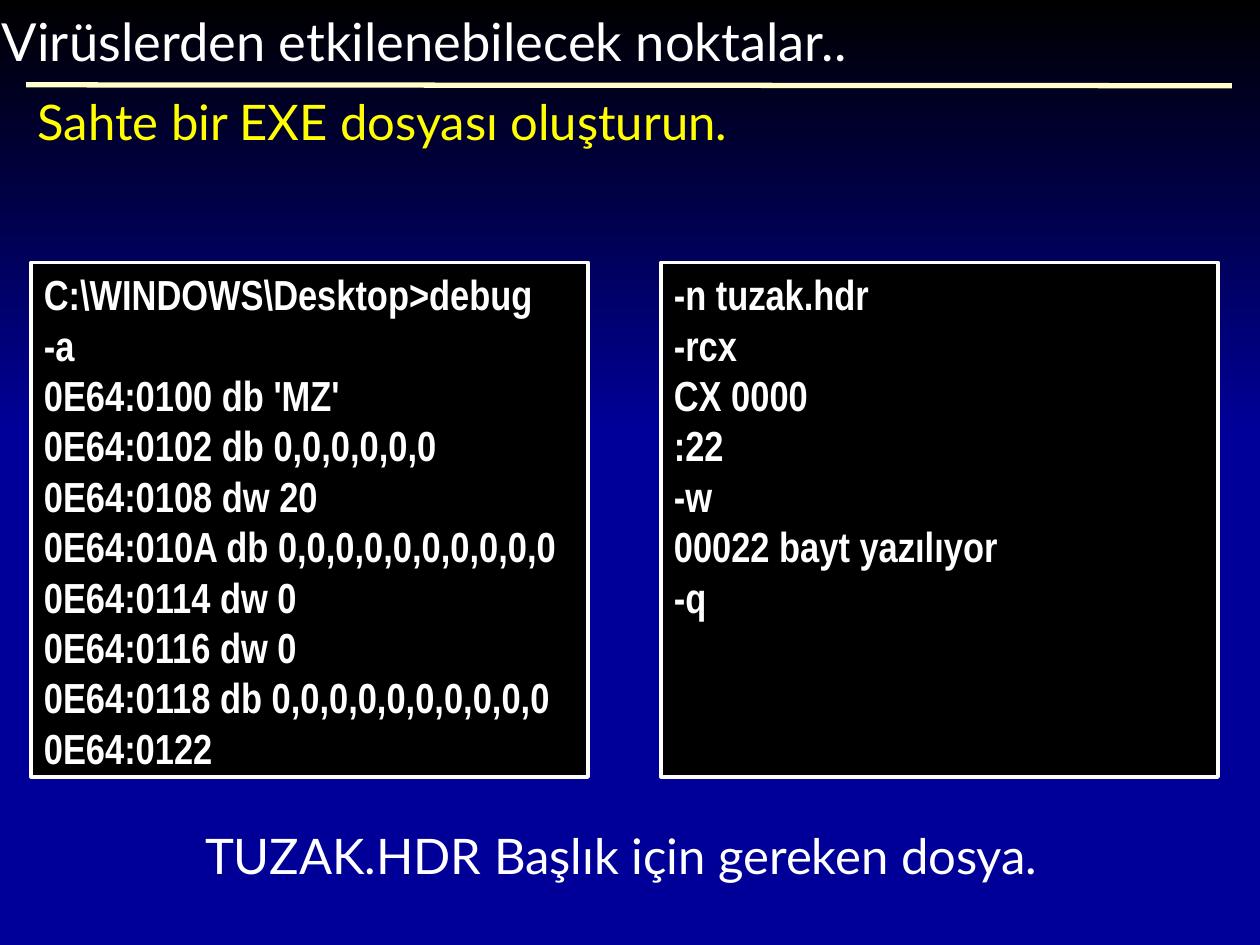
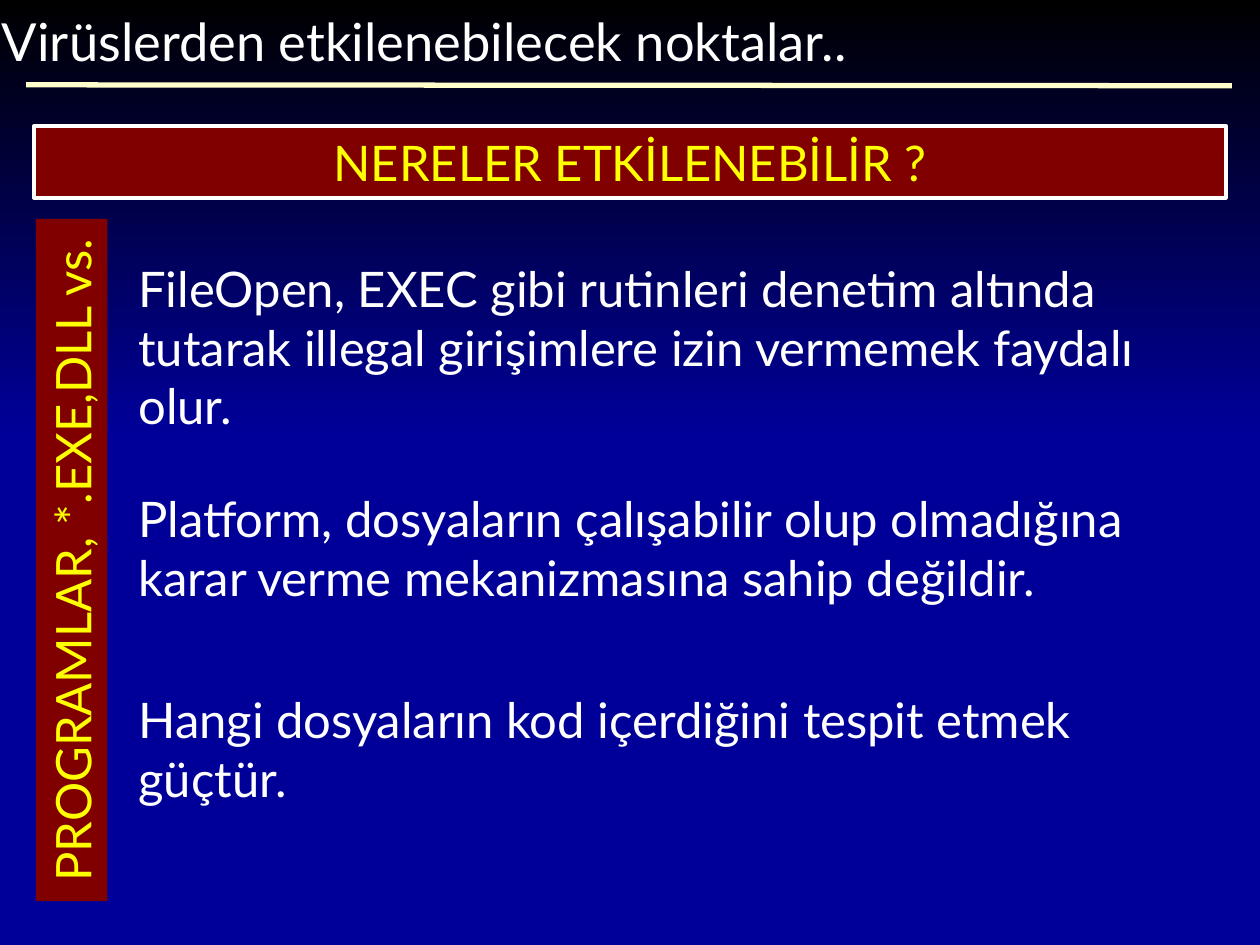
"""Two slides on the points that viruses can affect."""
from dataclasses import dataclass

from lxml.etree import SubElement
from pptx import Presentation
from pptx.dml.color import RGBColor
from pptx.enum.shapes import MSO_CONNECTOR, MSO_SHAPE
from pptx.enum.text import MSO_ANCHOR, MSO_AUTO_SIZE, PP_ALIGN
from pptx.oxml.ns import qn
from pptx.util import Pt


@dataclass(frozen=True)
class Theme:
    blue: RGBColor = RGBColor(0x00, 0x00, 0x99)
    black: RGBColor = RGBColor(0x00, 0x00, 0x00)
    white: RGBColor = RGBColor(0xFF, 0xFF, 0xFF)
    cream: RGBColor = RGBColor(0xFF, 0xFF, 0xCC)
    yellow: RGBColor = RGBColor(0xFF, 0xFF, 0x00)
    maroon: RGBColor = RGBColor(0x80, 0x00, 0x00)
    text_font: str = "Lato"
    code_font: str = "Arial Narrow"
    title_size: Pt = Pt(30)
    text_size: Pt = Pt(28)
    code_size: Pt = Pt(24)
    rule_width: Pt = Pt(3)
    border_width: Pt = Pt(2.25)


theme = Theme()
frame_format = {
    "word_wrap": True,
    "auto_size": MSO_AUTO_SIZE.NONE,
    "vertical_anchor": MSO_ANCHOR.MIDDLE,
    "margin_left": Pt(7.2),
    "margin_right": Pt(7.2),
    "margin_top": Pt(3.6),
    "margin_bottom": Pt(3.6),
}
body_format = {"name": theme.text_font, "size": theme.text_size, "color": theme.white}
title_format = body_format | {"size": theme.title_size}
accent_format = body_format | {"color": theme.yellow}
code_format = {"name": theme.code_font, "size": theme.code_size, "color": theme.white, "bold": True}


def write(holder, lines, font_format, align=PP_ALIGN.LEFT, anchor=MSO_ANCHOR.MIDDLE):
    frame = holder.text_frame
    for name, value in (frame_format | {"vertical_anchor": anchor}).items():
        setattr(frame, name, value)
    frame.text = "\n".join(lines)
    for paragraph in frame.paragraphs:
        paragraph.alignment = align
        for name, value in font_format.items():
            if name == "color":
                paragraph.font.color.rgb = value
            else:
                setattr(paragraph.font, name, value)


def add_panel(slide, place, fill_color, bordered=True):
    panel = slide.shapes.add_shape(MSO_SHAPE.RECTANGLE, *map(Pt, place))
    panel.shadow.inherit = False
    panel.fill.solid()
    panel.fill.fore_color.rgb = fill_color
    if bordered:
        panel.line.color.rgb = theme.white
        panel.line.width = theme.border_width
    else:
        panel.line.fill.background()
    return panel


deck = Presentation()
deck.slide_width, deck.slide_height = Pt(720), Pt(540)
master = deck.slide_master
master.background.fill.solid()
master.background.fill.fore_color.rgb = theme.blue
trap_slide, targets_slide = [deck.slides.add_slide(deck.slide_layouts[6]) for _ in range(2)]

sky = add_panel(trap_slide, (0, 0, 720, 246), theme.black, bordered=False)
sky.fill.gradient()
sky.fill.gradient_angle = 270
for stop, color in zip(sky.fill.gradient_stops, (theme.black, theme.blue)):
    stop.color.rgb = color

title_rule = trap_slide.shapes.add_connector(
    MSO_CONNECTOR.STRAIGHT, Pt(15), Pt(48.5), Pt(704), Pt(49))
title_rule.line.color.rgb = theme.cream
title_rule.line.width = theme.rule_width
SubElement(title_rule.element.spPr, qn("a:effectLst"))

for number, backdrop in enumerate((sky, title_rule), start=20):
    backdrop.element.xpath(".//p:cNvPr")[0].set("id", str(number))
    master.shapes.element.append(backdrop.element)

for slide in (trap_slide, targets_slide):
    title = slide.shapes.add_textbox(Pt(-6), Pt(1.5), Pt(535), Pt(43))
    write(title, ["Virüslerden etkilenebilecek noktalar.."], title_format)

instruction = trap_slide.shapes.add_textbox(Pt(14.5), Pt(48.5), Pt(435), Pt(41))
write(instruction, ["Sahte bir EXE dosyası oluşturun."], accent_format)

debug_sessions = [
    [
        "C:\\WINDOWS\\Desktop>debug",
        "-a",
        "0E64:0100 db 'MZ'",
        "0E64:0102 db 0,0,0,0,0,0",
        "0E64:0108 dw 20",
        "0E64:010A db 0,0,0,0,0,0,0,0,0,0",
        "0E64:0114 dw 0",
        "0E64:0116 dw 0",
        "0E64:0118 db 0,0,0,0,0,0,0,0,0,0",
        "0E64:0122",
    ],
    ["-n tuzak.hdr", "-rcx", "CX 0000", ":22", "-w", "00022 bayt yazılıyor", "-q"],
]
for column, session in enumerate(debug_sessions):
    console = add_panel(trap_slide, (18 + 360 * column, 150, 318, 294), theme.black)
    write(console, session, code_format, anchor=MSO_ANCHOR.TOP)

caption = trap_slide.shapes.add_textbox(Pt(99.5), Pt(468), Pt(511), Pt(41))
write(caption, ["TUZAK.HDR Başlık için gereken dosya."], body_format, PP_ALIGN.CENTER)

question = add_panel(targets_slide, (19.5, 72, 681, 41), theme.maroon)
write(question, ["NERELER ETKİLENEBİLİR ?"], accent_format, PP_ALIGN.CENTER)

file_types = add_panel(targets_slide, (-154, 299.5, 390, 41), theme.maroon, bordered=False)
file_types.rotation = 270
write(file_types, ["PROGRAMLAR, *.EXE,DLL vs."], accent_format, PP_ALIGN.CENTER)

remarks = [
    (144, 108, "FileOpen, EXEC gibi rutinleri denetim altında tutarak illegal "
               "girişimlere izin vermemek faydalı olur."),
    (259, 108, "Platform, dosyaların çalışabilir olup olmadığına karar verme "
               "mekanizmasına sahip değildir."),
    (390, 75, "Hangi dosyaların kod içerdiğini tespit etmek güçtür."),
]
for top, height, sentence in remarks:
    remark = targets_slide.shapes.add_textbox(Pt(72), Pt(top), Pt(630), Pt(height))
    write(remark, [sentence], body_format)

deck.save("out.pptx")
